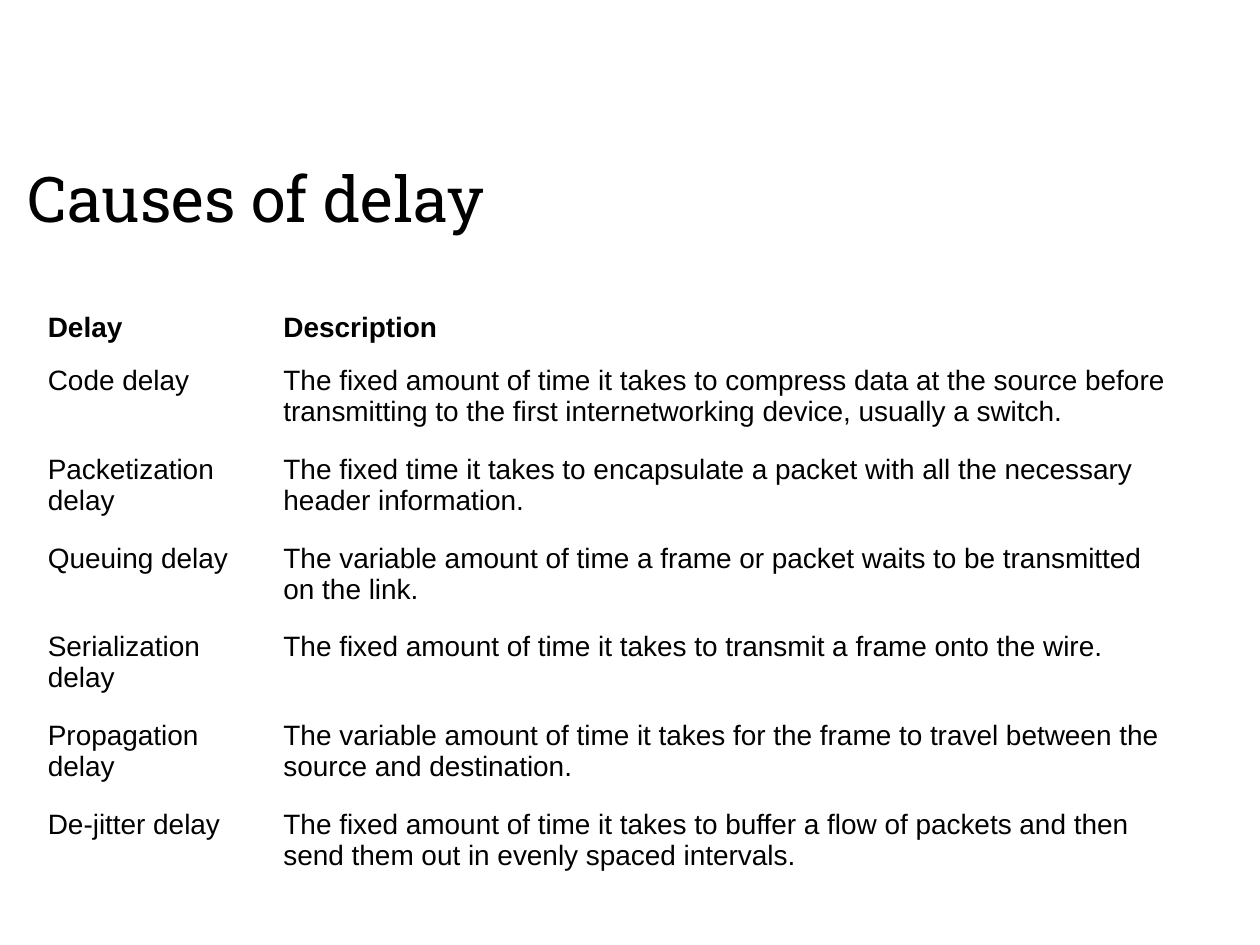
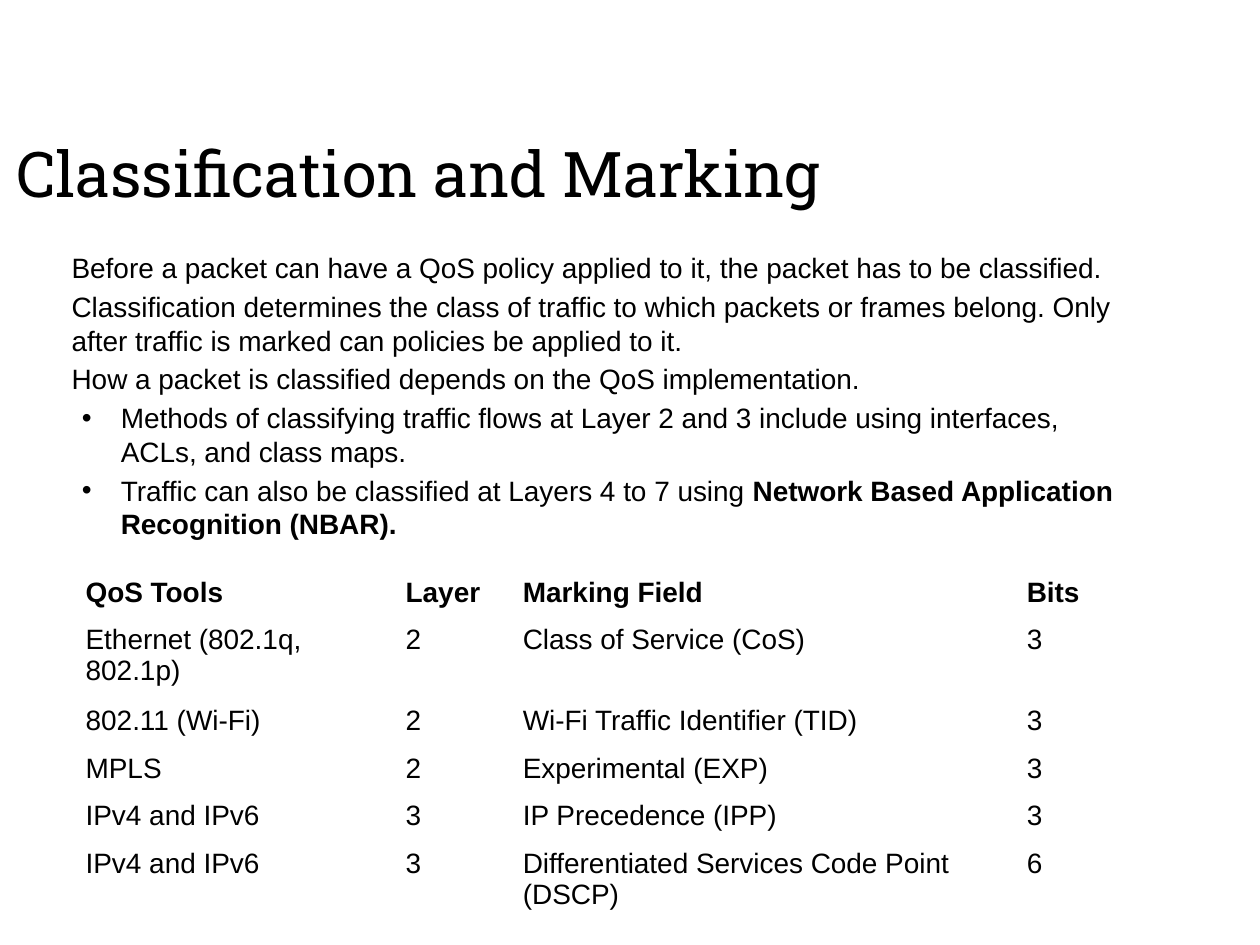
from lxml.etree import SubElement
from pptx import Presentation
from pptx.dml.color import RGBColor as Rgb
from pptx.enum.text import MSO_ANCHOR as Anchor
from pptx.oxml.ns import qn
from pptx.util import Inches, Pt

COLORS = {"ink": "000000", "paper": "FFFFFF"}
TITLE_FONT, BODY_FONT = "Roboto Slab", "Arial"
TITLE_SIZE, BODY_SIZE = 36, 16

DELAYS = [
    ("Delay", "Description"),
    ("Code delay", "The fixed amount of time it takes to compress data at the source before "
     "transmitting to the first internetworking device, usually a switch."),
    ("Packetization delay", "The fixed time it takes to encapsulate a packet with all the "
     "necessary header information."),
    ("Queuing delay", "The variable amount of time a frame or packet waits to be transmitted "
     "on the link."),
    ("Serialization delay", "The fixed amount of time it takes to transmit a frame onto the wire."),
    ("Propagation delay", "The variable amount of time it takes for the frame to travel between "
     "the source and destination."),
    ("De-jitter delay", "The fixed amount of time it takes to buffer a flow of packets and then "
     "send them out in evenly spaced intervals."),
]

INTRO = [
    "Before a packet can have a QoS policy applied to it, the packet has to be classified.",
    "Classification determines the class of traffic to which packets or frames belong. Only "
    "after traffic is marked can policies be applied to it.",
    "How a packet is classified depends on the QoS implementation.",
]
METHODS = [
    ("Methods of classifying traffic flows at Layer 2 and 3 include using interfaces, "
     "ACLs, and class maps.", ""),
    ("Traffic can also be classified at Layers 4 to 7 using ",
     "Network Based Application Recognition (NBAR)."),
]

MARKINGS = [
    ("QoS Tools", "Layer", "Marking Field", "Bits"),
    ("Ethernet (802.1q, 802.1p)", "2", "Class of Service (CoS)", "3"),
    ("802.11 (Wi-Fi)", "2", "Wi-Fi Traffic Identifier (TID)", "3"),
    ("MPLS", "2", "Experimental (EXP)", "3"),
    ("IPv4 and IPv6", "3", "IP Precedence (IPP)", "3"),
    ("IPv4 and IPv6", "3", "Differentiated Services Code Point (DSCP)", "6"),
]


def style_font(font, size=BODY_SIZE, name=BODY_FONT, bold=False):
    """Apply face, size, weight and ink colour to a font."""
    font.name, font.size, font.bold = name, Pt(size), bold
    font.color.rgb = Rgb.from_string(COLORS["ink"])


def add_frame(slide, left, top, width, height):
    """Add a wrapping text box and return its text frame."""
    box = slide.shapes.add_textbox(Inches(left), Inches(top), Inches(width), Inches(height))
    box.text_frame.word_wrap = True
    return box.text_frame


def add_title(slide, text, left, top):
    """Add the slide title."""
    frame = add_frame(slide, left, top, 9.13, 1.07)
    frame.vertical_anchor = Anchor.MIDDLE
    frame.text = text
    style_font(frame.paragraphs[0].runs[0].font, TITLE_SIZE, TITLE_FONT)


def add_bullet(paragraph):
    """Give a paragraph a hanging round bullet."""
    properties = paragraph._p.get_or_add_pPr()
    properties.set("marL", str(Inches(0.39)))
    properties.set("indent", str(Inches(-0.31)))
    SubElement(properties, qn("a:buFont"), typeface=BODY_FONT)
    SubElement(properties, qn("a:buChar"), char="•")


def add_explanation(slide, statements, methods):
    """Add plain statements followed by bulleted methods with bold endings."""
    frame = add_frame(slide, 0.47, 1.94, 8.65, 3.26)
    entries = [(text, "", False) for text in statements]
    entries += [(text, term, True) for text, term in methods]
    for index, (text, term, bulleted) in enumerate(entries):
        paragraph = frame.add_paragraph() if index else frame.paragraphs[0]
        paragraph.text = text
        if bulleted:
            add_bullet(paragraph)
        if index:
            paragraph.space_before = Pt(3)
        style_font(paragraph.runs[0].font)
        if term:
            ending = paragraph.add_run()
            ending.text = term
            style_font(ending.font, bold=True)


def add_borders(cell, widths):
    """Draw paper-coloured borders, given as side letters in L, R, T, B order."""
    properties = cell._tc.get_or_add_tcPr()
    for side, width in widths.items():
        line = SubElement(properties, qn(f"a:ln{side}"), w=str(Pt(width)))
        fill = SubElement(line, qn("a:solidFill"))
        SubElement(fill, qn("a:srgbClr"), val=COLORS["paper"])


def fill_cell(cell, text, is_header, margins, widths):
    """Write one cell with its margins, borders and fill."""
    cell.margin_left = cell.margin_right = Inches(0.1)
    cell.margin_top, cell.margin_bottom = map(Inches, margins)
    add_borders(cell, widths)
    cell.fill.solid()
    cell.fill.fore_color.rgb = Rgb.from_string(COLORS["paper"])
    cell.text = text
    style_font(cell.text_frame.paragraphs[0].runs[0].font, bold=is_header)


def add_grid(slide, rows, left, top, widths, heights, margins):
    """Add a table with a bold header row."""
    table = slide.shapes.add_table(
        len(rows), len(widths), Inches(left), Inches(top),
        Inches(sum(widths)), Inches(sum(heights))).table
    table.horz_banding = False
    for column, width in zip(table.columns, widths):
        column.width = Inches(width)
    for row_index, (row, texts, height) in enumerate(zip(table.rows, rows, heights)):
        row.height = Inches(height)
        is_header = row_index == 0
        borders = {"L": 1, "R": 1, "T": 1, "B": 3 if is_header else 1}
        for cell, text in zip(row.cells, texts):
            fill_cell(cell, text, is_header, margins, borders)


def add_slide(deck):
    """Add a blank slide on a paper background."""
    slide = deck.slides.add_slide(deck.slide_layouts[6])
    slide.background.fill.solid()
    slide.background.fill.fore_color.rgb = Rgb.from_string(COLORS["paper"])
    return slide


def main():
    """Build and save both slides."""
    deck = Presentation()
    deck.slide_width, deck.slide_height = Inches(10), Inches(7.5)

    causes = add_slide(deck)
    add_title(causes, "Causes of delay", 0.12, 1.03)
    header_height, grid_height = 0.42, 4.65
    delay_height = (grid_height - header_height) / (len(DELAYS) - 1)
    add_grid(causes, DELAYS, 0.28, 2.41, [1.87, 7.25],
             [header_height] + [delay_height] * (len(DELAYS) - 1), (0.07, 0.07))

    marking = add_slide(deck)
    add_title(marking, "Classification and Marking", 0.03, 0.83)
    add_explanation(marking, INTRO, METHODS)
    add_grid(marking, MARKINGS, 0.58, 4.52, [2.54, 0.93, 4, 1.36],
             [0.37, 0.61, 0.37, 0.37, 0.37, 0.61], (0.06, 0.05))

    deck.save("out.pptx")


if __name__ == "__main__":
    main()
